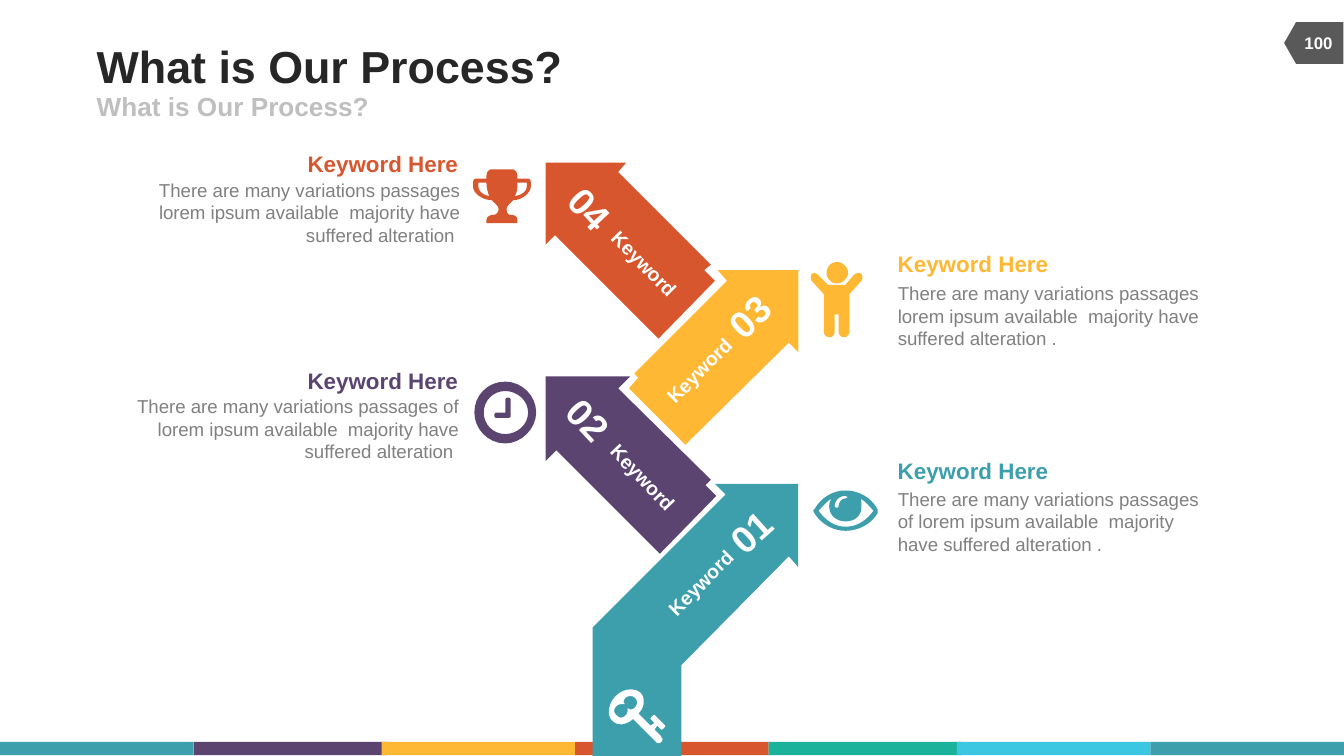
import pptx
import pptx.util
import pptx.dml.color
import pptx.enum.shapes
import pptx.enum.text

Inches = pptx.util.Inches
RGB = pptx.dml.color.RGBColor
SHAPE = pptx.enum.shapes.MSO_SHAPE
ALIGN = pptx.enum.text.PP_ALIGN
ANCHOR = pptx.enum.text.MSO_ANCHOR

TEAL = RGB(0x3D, 0x9F, 0xAC)
PURPLE = RGB(0x5B, 0x44, 0x70)
YELLOW = RGB(0xFE, 0xB8, 0x34)
ORANGE = RGB(0xD7, 0x56, 0x2E)
GREEN = RGB(0x1B, 0xB2, 0x9C)
SKY = RGB(0x3B, 0xC7, 0xE2)
WHITE = RGB(0xFF, 0xFF, 0xFF)
DARK = RGB(0x26, 0x26, 0x26)
SILVER = RGB(0xBF, 0xBF, 0xBF)
GRAY = RGB(0x80, 0x80, 0x80)
SLATE = RGB(0x59, 0x59, 0x59)

TITLE = "What is Our Process?"
STRIPES = [(0, TEAL), (1.44, PURPLE), (2.84, YELLOW), (4.28, ORANGE),
           (5.72, GREEN), (7.12, SKY), (8.56, TEAL)]

# Outlines are lists of contours; a pair is a line end,
# six numbers are a cubic curve (two handles and an end).
STEPS = [
    dict(num="01", color=TEAL, align=ALIGN.LEFT,
         text="There are many variations passages of lorem ipsum available  "
              "majority have suffered alteration .",
         head=(6.68, 3.4), body=(6.68, 3.63, 2.35, 0.5),
         mark=(5.43, 3.78, 318.1), word=(4.9, 4.25, 315),
         arrow=[(5.94, 4.22), (5.87, 4.14), (5.07, 4.95), (5.07, 5.63), (4.41, 5.63),
                (4.41, 4.67), (5.4, 3.68), (5.32, 3.6), (5.94, 3.6)]),
    dict(num="02", color=PURPLE, align=ALIGN.RIGHT,
         text="There are many variations passages of lorem ipsum available  "
              "majority have suffered alteration ",
         head=(2.28, 2.73), body=(0.92, 2.94, 2.49, 0.5),
         mark=(4.23, 2.95, 47), word=(4.47, 3.46, 46.4),
         arrow=[(4.6, 2.89), (5.29, 3.57), (5.25, 3.61), (5.33, 3.69), (4.91, 4.12),
                (4.14, 3.35), (4.06, 3.43), (4.06, 2.8), (4.69, 2.8)]),
    dict(num="03", color=YELLOW, align=ALIGN.LEFT,
         text="There are many variations passages lorem ipsum available  "
              "majority have suffered alteration .",
         head=(6.68, 1.86), body=(6.68, 2.1, 2.35, 0.5),
         mark=(5.42, 2.18, 316.6), word=(4.89, 2.67, 315),
         arrow=[(5.94, 2.62), (5.87, 2.55), (5.1, 3.31), (4.68, 2.89), (4.75, 2.81),
                (4.72, 2.78), (5.41, 2.09), (5.34, 2.01), (5.94, 2.01)]),
    dict(num="04", color=ORANGE, align=ALIGN.RIGHT,
         text="There are many variations passages lorem ipsum available  "
              "majority have suffered alteration ",
         head=(2.28, 1.12), body=(1.12, 1.33, 2.3, 0.5),
         mark=(4.24, 1.38, 47), word=(4.48, 1.87, 45.4),
         arrow=[(4.6, 1.28), (5.29, 1.97), (5.24, 2.01), (5.32, 2.09), (4.9, 2.52),
                (4.13, 1.75), (4.06, 1.82), (4.06, 1.21), (4.66, 1.21)]),
]

KEY = [
    [(4.92, 5.43), (4.89, 5.4), (4.87, 5.43), (4.92, 5.48),
     (4.92, 5.49, 4.93, 5.5, 4.93, 5.5), (4.93, 5.52, 4.91, 5.53, 4.9, 5.53),
     (4.89, 5.53, 4.89, 5.53, 4.88, 5.52), (4.71, 5.35),
     (4.69, 5.37, 4.65, 5.39, 4.62, 5.39), (4.57, 5.39, 4.53, 5.35, 4.53, 5.3),
     (4.53, 5.21, 4.61, 5.13, 4.69, 5.13), (4.75, 5.13, 4.79, 5.16, 4.79, 5.22),
     (4.79, 5.26, 4.77, 5.29, 4.75, 5.31), (4.84, 5.4), (4.87, 5.38), (4.84, 5.35),
     (4.84, 5.34, 4.86, 5.32, 4.87, 5.32), (4.95, 5.4),
     (4.95, 5.41, 4.93, 5.43, 4.92, 5.43)],
    [(4.69, 5.18), (4.66, 5.18, 4.64, 5.2, 4.64, 5.23), (4.65, 5.24), (4.62, 5.24),
     (4.6, 5.24, 4.57, 5.26, 4.57, 5.29), (4.57, 5.31, 4.6, 5.34, 4.62, 5.34),
     (4.65, 5.34, 4.67, 5.31, 4.67, 5.29), (4.67, 5.27), (4.69, 5.28),
     (4.72, 5.28, 4.74, 5.25, 4.74, 5.23), (4.74, 5.2, 4.72, 5.18, 4.69, 5.18)],
]
EYE = [
    [(6.53, 3.82), (6.48, 3.9, 6.39, 3.95, 6.29, 3.95), (6.2, 3.95, 6.11, 3.9, 6.06, 3.82),
     (6.05, 3.8), (6.06, 3.79), (6.11, 3.7, 6.2, 3.65, 6.29, 3.65),
     (6.39, 3.65, 6.48, 3.7, 6.53, 3.79), (6.53, 3.8)],
    [(6.4, 3.71), (6.41, 3.72, 6.41, 3.74, 6.41, 3.77), (6.41, 3.84, 6.36, 3.88, 6.29, 3.88),
     (6.23, 3.88, 6.17, 3.84, 6.17, 3.77), (6.17, 3.74, 6.18, 3.72, 6.19, 3.71),
     (6.15, 3.73, 6.12, 3.77, 6.09, 3.8), (6.14, 3.87, 6.21, 3.92, 6.29, 3.92),
     (6.38, 3.92, 6.45, 3.87, 6.5, 3.8), (6.47, 3.77, 6.44, 3.73, 6.4, 3.71)],
    [(6.29, 3.69), (6.25, 3.69, 6.21, 3.72, 6.21, 3.77), (6.21, 3.77, 6.22, 3.78, 6.23, 3.78),
     (6.24, 3.77), (6.24, 3.74, 6.26, 3.71, 6.29, 3.71), (6.31, 3.7)],
]
CLOCK = [
    [(3.76, 3.3), (3.63, 3.3, 3.53, 3.19, 3.53, 3.07), (3.53, 2.94, 3.63, 2.84, 3.76, 2.84),
     (3.88, 2.84, 3.99, 2.94, 3.99, 3.07), (3.99, 3.19, 3.88, 3.3, 3.76, 3.3)],
    [(3.76, 2.91), (3.67, 2.91, 3.6, 2.98, 3.6, 3.07), (3.6, 3.16, 3.67, 3.23, 3.76, 3.23),
     (3.85, 3.23, 3.93, 3.16, 3.93, 3.07), (3.93, 2.98, 3.85, 2.91, 3.76, 2.91)],
    [(3.8, 3.1), (3.79, 3.11), (3.69, 3.11), (3.68, 3.1), (3.68, 3.08), (3.69, 3.07),
     (3.76, 3.07), (3.76, 2.97), (3.77, 2.96), (3.79, 2.96), (3.8, 2.97)],
]
PERSON = [
    [(6.32, 2.19), (6.32, 2.47), (6.32, 2.49, 6.3, 2.51, 6.28, 2.51),
     (6.26, 2.51, 6.24, 2.49, 6.24, 2.47), (6.24, 2.34), (6.21, 2.34), (6.21, 2.47),
     (6.21, 2.49, 6.2, 2.51, 6.17, 2.51), (6.15, 2.51, 6.13, 2.49, 6.13, 2.47),
     (6.13, 2.19), (6.04, 2.09), (6.03, 2.08, 6.03, 2.05, 6.04, 2.04),
     (6.05, 2.03, 6.07, 2.03, 6.08, 2.04), (6.16, 2.12), (6.29, 2.12), (6.36, 2.04),
     (6.38, 2.03, 6.4, 2.03, 6.41, 2.04), (6.42, 2.05, 6.42, 2.08, 6.41, 2.09)],
    [(6.23, 2.11), (6.18, 2.11, 6.15, 2.07, 6.15, 2.03), (6.15, 1.99, 6.18, 1.95, 6.23, 1.95),
     (6.27, 1.95, 6.31, 1.99, 6.31, 2.03), (6.31, 2.07, 6.27, 2.11, 6.23, 2.11)],
]
CUP = [
    [(3.95, 1.39), (3.95, 1.43, 3.89, 1.49, 3.82, 1.49), (3.79, 1.52),
     (3.78, 1.53, 3.77, 1.54, 3.77, 1.56), (3.77, 1.58, 3.78, 1.6, 3.8, 1.6),
     (3.83, 1.6, 3.85, 1.61, 3.85, 1.64), (3.85, 1.66), (3.62, 1.66), (3.62, 1.64),
     (3.62, 1.61, 3.65, 1.6, 3.67, 1.6), (3.69, 1.6, 3.71, 1.58, 3.71, 1.56),
     (3.71, 1.54, 3.7, 1.53, 3.69, 1.52), (3.66, 1.49),
     (3.58, 1.49, 3.52, 1.43, 3.52, 1.39), (3.52, 1.36),
     (3.52, 1.34, 3.53, 1.33, 3.54, 1.33), (3.62, 1.33), (3.62, 1.31),
     (3.62, 1.28, 3.64, 1.26, 3.66, 1.26), (3.81, 1.26),
     (3.83, 1.26, 3.85, 1.28, 3.85, 1.31), (3.85, 1.33), (3.93, 1.33),
     (3.94, 1.33, 3.95, 1.34, 3.95, 1.36)],
    [(3.62, 1.36), (3.56, 1.36), (3.56, 1.39), (3.56, 1.42, 3.59, 1.45, 3.64, 1.46),
     (3.63, 1.43, 3.62, 1.4, 3.62, 1.36)],
    [(3.92, 1.36), (3.85, 1.36), (3.85, 1.4, 3.85, 1.43, 3.83, 1.46),
     (3.89, 1.45, 3.92, 1.42, 3.92, 1.39)],
]
ICONS = [(KEY, WHITE), (EYE, TEAL), (CLOCK, PURPLE), (PERSON, YELLOW), (CUP, ORANGE)]


def paint(shape, color):
    shape.shadow.inherit = False
    shape.fill.solid()
    shape.fill.fore_color.rgb = color
    shape.line.fill.background()


def block(slide, kind, box, color, turn=0):
    shape = slide.shapes.add_shape(kind, *map(Inches, box))
    shape.rotation = turn
    paint(shape, color)


def trace(contour, parts=8):
    """Turn lines and cubic curves into a list of points in inches."""
    points = [contour[0]]
    for item in contour[1:]:
        if len(item) == 2:
            points.append(item)
            continue
        ends = [points[-1], item[:2], item[2:4], item[4:]]
        for step in range(1, parts + 1):
            t = step / parts
            weights = ((1 - t) ** 3, 3 * t * (1 - t) ** 2, 3 * t * t * (1 - t), t ** 3)
            points.append(tuple(sum(w * p[axis] for w, p in zip(weights, ends))
                                for axis in (0, 1)))
    return points


def outline(slide, contours, color):
    pen = None
    for contour in contours:
        first, *rest = [(Inches(x), Inches(y)) for x, y in trace(contour)]
        if pen is None:
            pen = slide.shapes.build_freeform(*first)
        else:
            pen.move_to(*first)
        pen.add_line_segments(rest, close=True)
    paint(pen.convert_to_shape(), color)


def label(slide, text, box, size, color, bold=True, align=ALIGN.LEFT,
          anchor=ANCHOR.TOP, wrap=True, turn=0):
    shape = slide.shapes.add_textbox(*map(Inches, box))
    shape.rotation = turn
    frame = shape.text_frame
    frame.margin_left = frame.margin_right = frame.margin_top = frame.margin_bottom = 0
    frame.word_wrap = wrap
    frame.vertical_anchor = anchor
    frame.text = text
    para = frame.paragraphs[0]
    para.alignment = align
    font = para.runs[0].font
    font.name, font.size, font.bold = "Arial", pptx.util.Pt(size), bold
    font.color.rgb = color


def main():
    deck = pptx.Presentation()
    deck.slide_width = Inches(10)
    deck.slide_height = deck.slide_width * 9 // 16
    slide = deck.slides.add_slide(deck.slide_layouts[6])

    for left, color in STRIPES:
        block(slide, SHAPE.RECTANGLE, (left, 5.52, 1.44, 0.1), color)
    block(slide, SHAPE.FLOWCHART_OFFPAGE_CONNECTOR, (9.62, 0.1, 0.31, 0.44), SLATE, 90)
    label(slide, TITLE, (0.72, 0.29, 6.17, 0.39), 24, DARK, anchor=ANCHOR.MIDDLE)
    label(slide, TITLE, (0.72, 0.68, 4.5, 0.22), 14, SILVER, anchor=ANCHOR.MIDDLE)
    label(slide, "100", (9.6, 0.17, 0.42, 0.3), 9, WHITE,
          align=ALIGN.CENTER, anchor=ANCHOR.MIDDLE)

    for step in STEPS:
        color, align = step["color"], step["align"]
        outline(slide, [step["arrow"]], color)
        left, top, turn = step["mark"]
        label(slide, step["num"], (left, top, 0.31, 0.34), 20, WHITE, align=ALIGN.CENTER,
              anchor=ANCHOR.BOTTOM, wrap=False, turn=turn)
        left, top, turn = step["word"]
        label(slide, "Keyword", (left, top, 0.62, 0.18), 10.5, WHITE, align=ALIGN.RIGHT,
              wrap=False, turn=turn)
        label(slide, step["text"], step["body"], 10, GRAY, bold=False, align=align)
        label(slide, "Keyword Here", (*step["head"], 1.13, 0.2), 12, color,
              align=align, wrap=False)

    for icon, color in ICONS:
        outline(slide, icon, color)

    deck.save("out.pptx")


if __name__ == "__main__":
    main()
